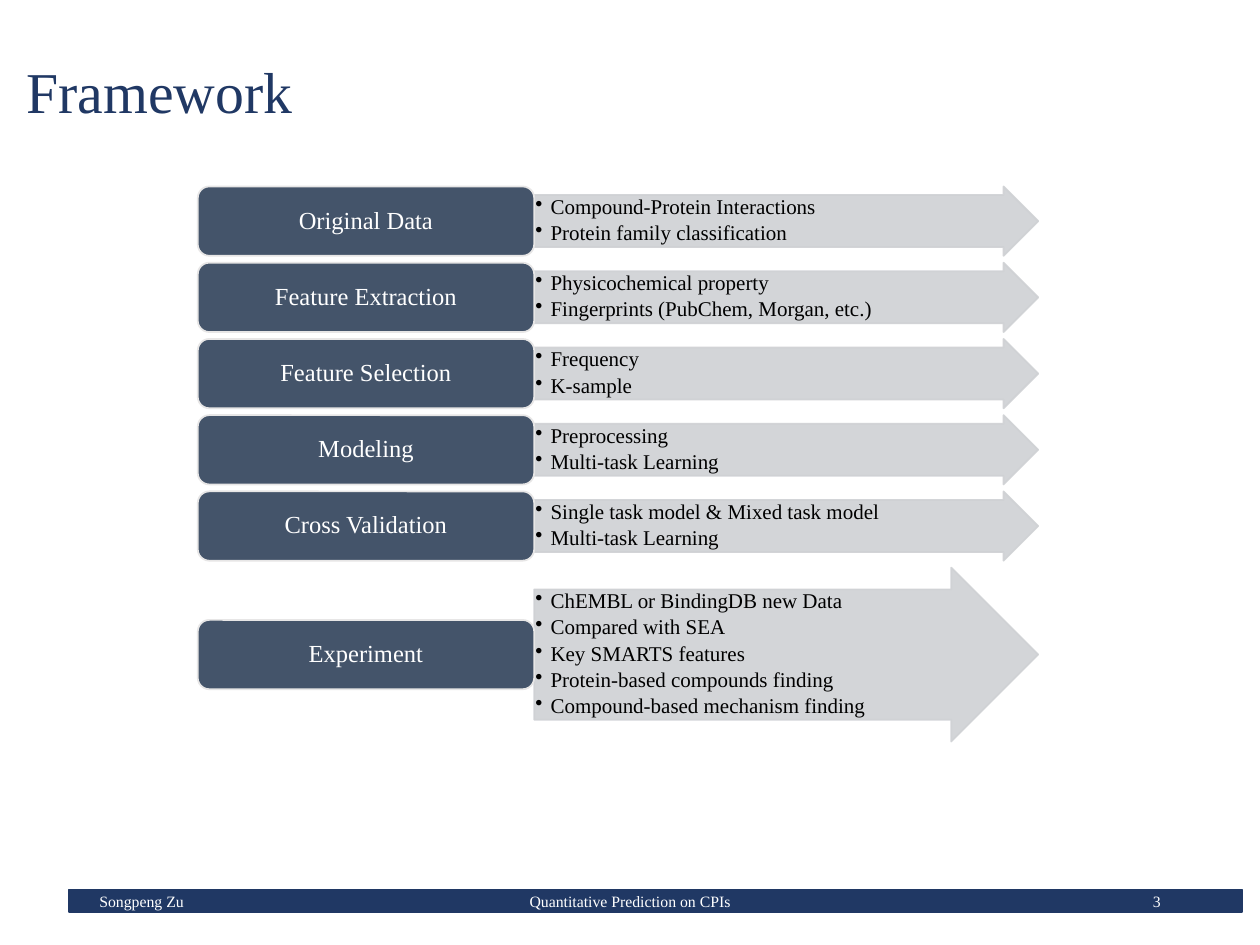
from lxml.etree import SubElement
from pptx import Presentation
from pptx.dml.color import RGBColor
from pptx.enum.shapes import MSO_SHAPE as Shape
from pptx.enum.text import MSO_ANCHOR as Anchor, PP_ALIGN as Align
from pptx.oxml.ns import qn
from pptx.util import Inches, Pt

NAVY = RGBColor(0x20, 0x38, 0x64)
SLATE = RGBColor(0x44, 0x54, 0x6A)
SILVER = RGBColor(0xCF, 0xD1, 0xD4)
PALE = RGBColor(0xE7, 0xE6, 0xE6)
WHITE = RGBColor(0xFF, 0xFF, 0xFF)
BLACK = RGBColor(0, 0, 0)

STAGES = [
    ("Original Data", ["Compound-Protein Interactions", "Protein family classification"]),
    ("Feature Extraction", ["Physicochemical property", "Fingerprints (PubChem, Morgan, etc.)"]),
    ("Feature Selection", ["Frequency", "K-sample"]),
    ("Modeling", ["Preprocessing", "Multi-task Learning"]),
    ("Cross Validation", ["Single task model & Mixed task model", "Multi-task Learning"]),
    ("Experiment", [
        "ChEMBL or BindingDB new Data",
        "Compared with SEA",
        "Key SMARTS features",
        "Protein-based compounds finding",
        "Compound-based mechanism finding",
    ]),
]
FOOTERS = [
    ("Songpeng Zu", 0.69, 2.25, Align.LEFT),
    ("Quantitative Prediction on CPIs", 3.31, 3.38, Align.CENTER),
    ("3", 7.06, 2.25, Align.RIGHT),
]
STAGE_LEFT, STAGE_WIDTH = 1.57, 2.67
ARROW_LEFT, ARROW_WIDTH = STAGE_LEFT + STAGE_WIDTH, 4
FIRST_TOP, ROW_HEIGHT, TALL_HEIGHT = 1.48, 0.55, 1.38
ROW_GAP = ROW_HEIGHT / 10


class FrameworkSlide:
    """Holds the text style and the current slide, and draws each kind of element."""

    def __init__(self, deck, font="Times New Roman"):
        self.font = font
        self.page = deck.slides.add_slide(deck.slide_layouts[5])

    def style(self, paragraph, size, color, align, spacing=0.9):
        paragraph.alignment = align
        paragraph.line_spacing = spacing
        for span in paragraph.runs:
            span.font.name = self.font
            span.font.size = Pt(size)
            span.font.color.rgb = color

    def title(self, text, left, top, width, height):
        box = self.page.shapes.title
        box.left, box.top = Inches(left), Inches(top)
        box.width, box.height = Inches(width), Inches(height)
        box.text_frame.text = text
        box.text_frame.vertical_anchor = Anchor.MIDDLE
        self.style(box.text_frame.paragraphs[0], 33, NAVY, Align.LEFT)

    def shape(self, kind, left, top, width, height, fill, line):
        shape = self.page.shapes.add_shape(
            kind, Inches(left), Inches(top), Inches(width), Inches(height))
        shape.shadow.inherit = False
        shape.fill.solid()
        shape.fill.fore_color.rgb = fill
        shape.line.color.rgb = line
        shape.line.width = Pt(1)
        return shape

    def stage(self, text, top):
        box = self.shape(Shape.ROUNDED_RECTANGLE, STAGE_LEFT, top,
                         STAGE_WIDTH, ROW_HEIGHT, SLATE, PALE)
        box.text_frame.text = text
        box.text_frame.vertical_anchor = Anchor.MIDDLE
        self.style(box.text_frame.paragraphs[0], 14, WHITE, Align.CENTER)

    def arrow(self, items, top, height):
        arrow = self.shape(Shape.RIGHT_ARROW, ARROW_LEFT, top,
                           ARROW_WIDTH, height, SILVER, SILVER)
        arrow.adjustments[0], arrow.adjustments[1] = 0.75, 0.5
        for color in arrow.element.spPr.iter(qn("a:srgbClr")):
            SubElement(color, qn("a:alpha"), val="90000")
        frame = arrow.text_frame
        frame.vertical_anchor = Anchor.TOP
        frame.margin_left = frame.margin_right = Inches(0.01)
        frame.margin_top = frame.margin_bottom = Inches(0.01)
        frame.text = "\n".join(items)
        for para in frame.paragraphs:
            self.bullet(para)
            para.space_after = Pt(2)
            self.style(para, 12, BLACK, Align.LEFT)

    def bullet(self, paragraph):
        properties = paragraph._p.get_or_add_pPr()
        properties.set("marL", str(Inches(0.12)))
        properties.set("indent", str(Inches(-0.12)))
        SubElement(properties, qn("a:buChar"), char="•")

    def footer(self, text, left, width, align):
        box = self.page.shapes.add_textbox(
            Inches(left), Inches(6.95), Inches(width), Inches(0.4))
        frame = box.text_frame
        frame.word_wrap = True
        frame.vertical_anchor = Anchor.MIDDLE
        frame.text = text
        self.style(frame.paragraphs[0], 9, WHITE, align, 1.0)


def main():
    deck = Presentation()
    deck.slide_width, deck.slide_height = Inches(10), Inches(7.5)
    slide = FrameworkSlide(deck)
    slide.title("Framework", 0.11, 0.03, 8.62, 1.45)
    slide.shape(Shape.RECTANGLE, 0.55, 7.06, 9.31, 0.18, NAVY, NAVY)
    for footer in FOOTERS:
        slide.footer(*footer)
    top = FIRST_TOP
    for name, items in STAGES:
        height = TALL_HEIGHT if len(items) > 2 else ROW_HEIGHT
        slide.arrow(items, top, height)
        slide.stage(name, top + (height - ROW_HEIGHT) / 2)
        top += height + ROW_GAP
    deck.save("out.pptx")


if __name__ == "__main__":
    main()
